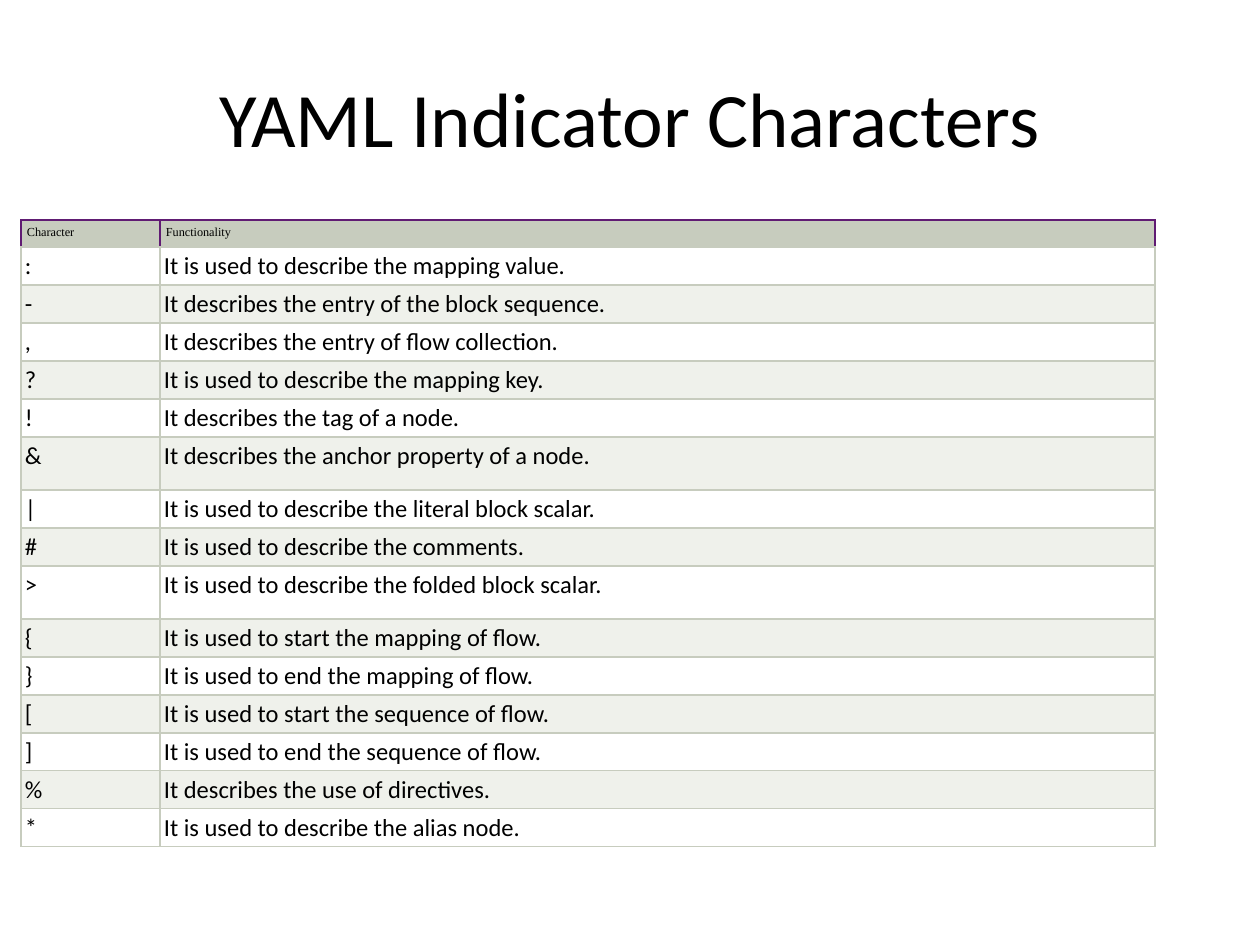
"""Build a slide listing the YAML indicator characters and what each one does."""
import pptx
import pptx.dml.color
import pptx.enum.text
import pptx.util
from lxml import etree
from pptx.oxml.ns import qn

EMU_PER_PX = 914400 / 126
SAGE, PALE_SAGE, WHITE, PURPLE, BLACK = "C7CCBE", "EFF1EB", "FFFFFF", "601B73", "000000"
HEADINGS = ("Character", "Functionality")
INDICATORS = [
    (":", "It is used to describe the mapping value."),
    ("-", "It describes the entry of the block sequence."),
    (",", "It describes the entry of flow collection."),
    ("?", "It is used to describe the mapping key."),
    ("!", "It describes the tag of a node."),
    ("&", "It describes the anchor property of a node."),
    ("|", "It is used to describe the literal block scalar."),
    ("#", "It is used to describe the comments."),
    (">", "It is used to describe the folded block scalar."),
    ("{", "It is used to start the mapping of flow."),
    ("}", "It is used to end the mapping of flow."),
    ("[", "It is used to start the sequence of flow."),
    ("]", "It is used to end the sequence of flow."),
    ("%", "It describes the use of directives."),
    ("*", "It is used to describe the alias node."),
]
COLUMN_WIDTHS = (139, 995)
HEADING_HEIGHT, ROW_HEIGHT, TALL_HEIGHT = 27, 38, 53
TALL_INDICATORS = ("&", ">")


def px(length):
    """Turn whole pixels into EMU."""
    return pptx.util.Emu(round(length * EMU_PER_PX))


def color(value):
    """Turn a hex string into a colour."""
    return pptx.dml.color.RGBColor.from_string(value)


def write(frame, text, size, font_name):
    """Put one styled paragraph into a text frame."""
    frame.text = text
    paragraph = frame.paragraphs[0]
    for run in paragraph.runs:
        run.font.size = pptx.util.Pt(size)
        run.font.name = font_name
        run.font.color.rgb = color(BLACK)
    return paragraph


def add_title(slide, text):
    """Add the centred slide title."""
    frame = slide.shapes.add_textbox(px(63), px(38), px(1134), px(157)).text_frame
    frame.word_wrap = True
    frame.vertical_anchor = pptx.enum.text.MSO_ANCHOR.MIDDLE
    write(frame, text, 44, "Calibri").alignment = pptx.enum.text.PP_ALIGN.CENTER


def add_borders(cell, edge_colors):
    """Draw thin cell borders, given as left, right, top and bottom colours."""
    properties = cell._tc.get_or_add_tcPr()
    for side, edge_color in zip("LRTB", edge_colors):
        line = etree.SubElement(properties, qn(f"a:ln{side}"), w=str(pptx.util.Pt(0.75)))
        fill = etree.SubElement(line, qn("a:solidFill"))
        etree.SubElement(fill, qn("a:srgbClr"), val=edge_color)


def fill_cell(cell, text, size, font_name, inset, background, edge_colors):
    """Set the text, margins, borders and background of a cell."""
    write(cell.text_frame, text, size, font_name)
    cell.margin_left = cell.margin_right = px(inset)
    cell.margin_top = cell.margin_bottom = px(inset)
    add_borders(cell, edge_colors)
    cell.fill.solid()
    cell.fill.fore_color.rgb = color(background)


def add_indicator_table(slide):
    """Add the table of characters with alternating row colours."""
    heights = [HEADING_HEIGHT] + [
        TALL_HEIGHT if character in TALL_INDICATORS else ROW_HEIGHT
        for character, _ in INDICATORS
    ]
    table = slide.shapes.add_table(
        len(heights), len(COLUMN_WIDTHS), px(21), px(220),
        px(sum(COLUMN_WIDTHS)), px(sum(heights))).table
    for column, width in zip(table.columns, COLUMN_WIDTHS):
        column.width = px(width)
    for row, height in zip(table.rows, heights):
        row.height = px(height)
    for cell, heading in zip(table.rows[0].cells, HEADINGS):
        fill_cell(cell, heading, 7, "Times New Roman", 6, SAGE,
                  (PURPLE, PURPLE, PURPLE, SAGE))
    for number, indicator in enumerate(INDICATORS, start=1):
        background = WHITE if number % 2 else PALE_SAGE
        for cell, text in zip(table.rows[number].cells, indicator):
            fill_cell(cell, text, 14, "Calibri", 4, background, (SAGE,) * 4)


def main():
    """Build and save the slide."""
    deck = pptx.Presentation()
    deck.slide_width, deck.slide_height = px(1260), px(945)
    slide = deck.slides.add_slide(deck.slide_layouts[6])
    add_title(slide, "YAML Indicator Characters")
    add_indicator_table(slide)
    deck.save("out.pptx")


if __name__ == "__main__":
    main()
